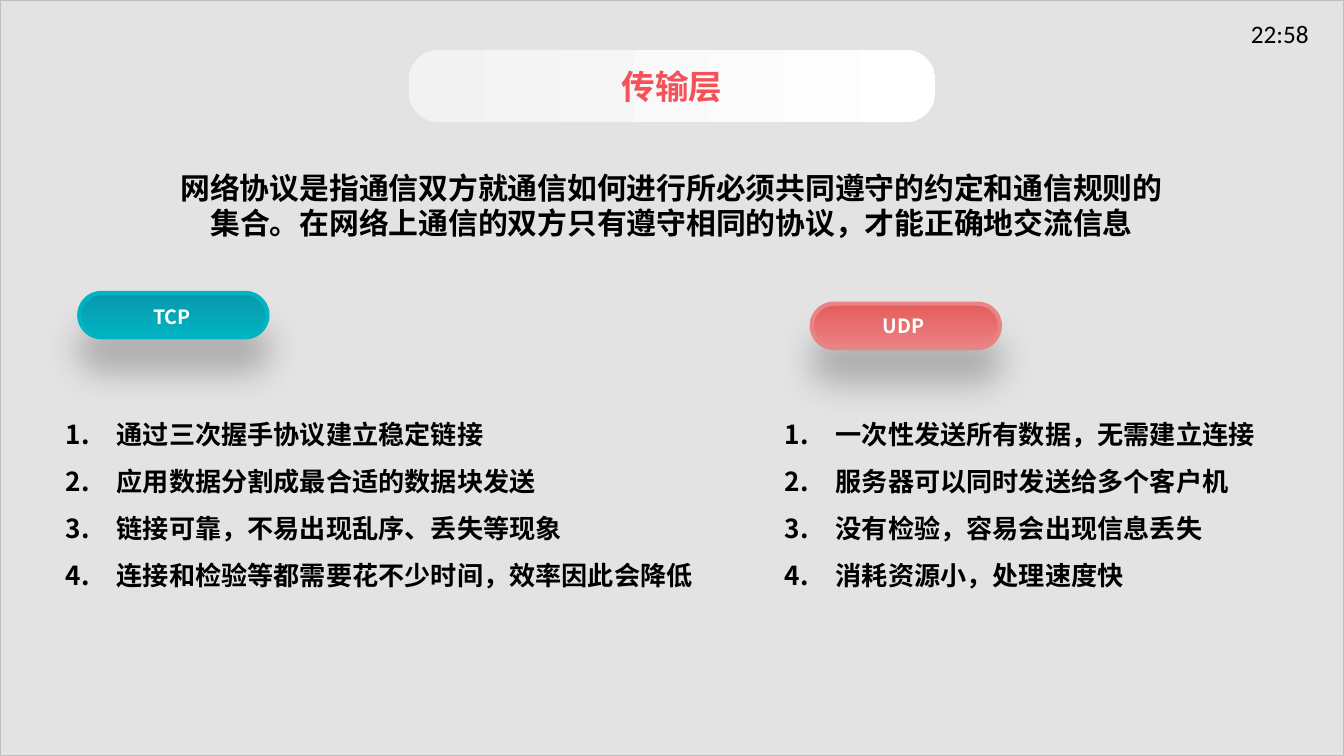
from lxml import etree
from pptx import Presentation
from pptx import util as u
from pptx.dml.color import RGBColor
from pptx.enum import shapes, text
from pptx.oxml.ns import qn

IN = u.Inches
BLACK = RGBColor(0x00, 0x00, 0x00)
WHITE = RGBColor(0xFF, 0xFF, 0xFF)
GRAY = RGBColor(0x80, 0x80, 0x80)
EDGE = RGBColor(0xBF, 0xBF, 0xBF)
PALE = RGBColor(0xF2, 0xF2, 0xF2)
CORAL = RGBColor(0xF4, 0x51, 0x59)
TEAL = RGBColor(0x06, 0x99, 0xAC)
AQUA = RGBColor(0x02, 0xB3, 0xC1)
RED = RGBColor(0xE4, 0x5C, 0x5B)
PINK = RGBColor(0xEA, 0x83, 0x84)
SANS = "Noto Sans CJK SC"


def add(node, tag, **attrs):
    """Append a DrawingML child and return it."""
    child = etree.SubElement(node, qn(tag))
    for key, value in attrs.items():
        child.set(key, str(value))
    return child


class Deck:
    def __init__(self, wide, high):
        self.prs = Presentation()
        self.prs.slide_width, self.prs.slide_height = IN(wide), IN(high)
        self.slide = self.prs.slides.add_slide(self.prs.slide_layouts[6])

    def style(self, para, size, color=BLACK, bold=True, face=SANS):
        font = para.font
        font.size, font.bold, font.name = u.Pt(size), bold, face
        font.color.rgb = color
        add(para._p.pPr.find(qn("a:defRPr")), "a:ea", typeface=face)

    def back(self, wide, high):
        page = self.slide.shapes.add_shape(
            shapes.MSO_SHAPE.RECTANGLE, 0, 0, IN(wide), IN(high))
        page.shadow.inherit = False
        page.fill.solid()
        page.fill.fore_color.rgb = GRAY
        tint = page._element.spPr.find(qn("a:solidFill"))[0]
        add(tint, "a:alpha", val=22000)
        page.line.color.rgb = EDGE
        page.line.width = u.Pt(1)

    def pill(self, home, box, curve, colors, angle):
        """Rounded bar with a two-colour gradient and no line."""
        bar = home.shapes.add_shape(
            shapes.MSO_SHAPE.ROUNDED_RECTANGLE, *map(IN, box))
        bar.adjustments[0] = curve
        bar.shadow.inherit = False
        bar.fill.gradient()
        bar.fill.gradient_angle = angle
        for stop, color in zip(bar.fill.gradient_stops, colors):
            stop.color.rgb = color
        bar.line.fill.background()
        return bar

    def note(self, home, box, lines, size, wrap=True, align=None,
             listed=False, **look):
        area = home.shapes.add_textbox(*map(IN, box))
        frame = area.text_frame
        frame.word_wrap = wrap
        frame.auto_size = text.MSO_AUTO_SIZE.SHAPE_TO_FIT_TEXT
        frame.text = "\n".join(lines)
        for para in frame.paragraphs:
            para.alignment = align
            if listed:
                para.line_spacing = 1.5
                props = para._p.get_or_add_pPr()
                props.set("marL", str(IN(0.38)))
                props.set("indent", str(-IN(0.38)))
                add(props, "a:buFont", typeface="+mj-lt")
                add(props, "a:buAutoNum", type="arabicPeriod")
            self.style(para, size, **look)

    def title(self, box, words):
        bar = self.pill(self.slide, box, 0.42, (PALE, WHITE), 0)
        frame = bar.text_frame
        frame.vertical_anchor = text.MSO_ANCHOR.MIDDLE
        frame.text = words
        frame.paragraphs[0].alignment = text.PP_ALIGN.CENTER
        self.style(frame.paragraphs[0], 18, CORAL)

    def badge(self, box, words, spot, colors):
        """Grouped pill and label with a soft shadow below."""
        group = self.slide.shapes.add_group_shape()
        bar = self.pill(group, box, 0.5, colors, 270)
        bar.line.color.rgb = colors[1]
        bar.line.width = u.Pt(2.25)
        glow = add(bar._element.spPr.find(qn("a:effectLst")), "a:outerShdw",
                   blurRad=u.Pt(18), dist=u.Pt(18), dir=5400000,
                   algn="t", rotWithShape=0)
        add(add(glow, "a:srgbClr", val="262626"), "a:alpha", val=28000)
        self.note(group, spot, [words], 10.5, wrap=False, color=WHITE)


def main():
    wide = 10
    high = wide * 9 / 16
    deck = Deck(wide, high)
    page = deck.slide

    # Page and clock
    deck.back(wide, high)
    deck.note(page, (9.21, 0.09, 0.67, 0.28), ["22:58"], 13.5,
              wrap=False, bold=False, face="Calibri")

    # Title
    deck.title((3.04, 0.37, 3.92, 0.54), "传输层")

    # Protocol badges
    deck.badge((0.59, 2.18, 1.4, 0.33), "TCP", (1.04, 2.22, 0.49, 0.28),
               (TEAL, AQUA))
    deck.badge((6.04, 2.26, 1.4, 0.33), "UDP", (6.47, 2.29, 0.53, 0.28),
               (RED, PINK))

    # Numbered traits
    tcp = ["通过三次握手协议建立稳定链接",
           "应用数据分割成最合适的数据块发送",
           "链接可靠，不易出现乱序、丢失等现象",
           "连接和检验等都需要花不少时间，效率因此会降低"]
    udp = ["一次性发送所有数据，无需建立连接",
           "服务器可以同时发送给多个客户机",
           "没有检验，容易会出现信息丢失",
           "消耗资源小，处理速度快"]
    for left, span, lines in ((0.39, 4.88, tcp), (5.74, 3.87, udp)):
        deck.note(page, (left, 2.95, span, 1.48), lines, 14, listed=True)

    # Definition
    deck.note(page, (1.19, 1.21, 7.62, 0.64),
              ["网络协议是指通信双方就通信如何进行所必须共同遵守的约定和通信规则的"
               "集合。在网络上通信的双方只有遵守相同的协议，才能正确地交流信息"],
              16, align=text.PP_ALIGN.CENTER)

    deck.prs.save("out.pptx")


if __name__ == "__main__":
    main()
